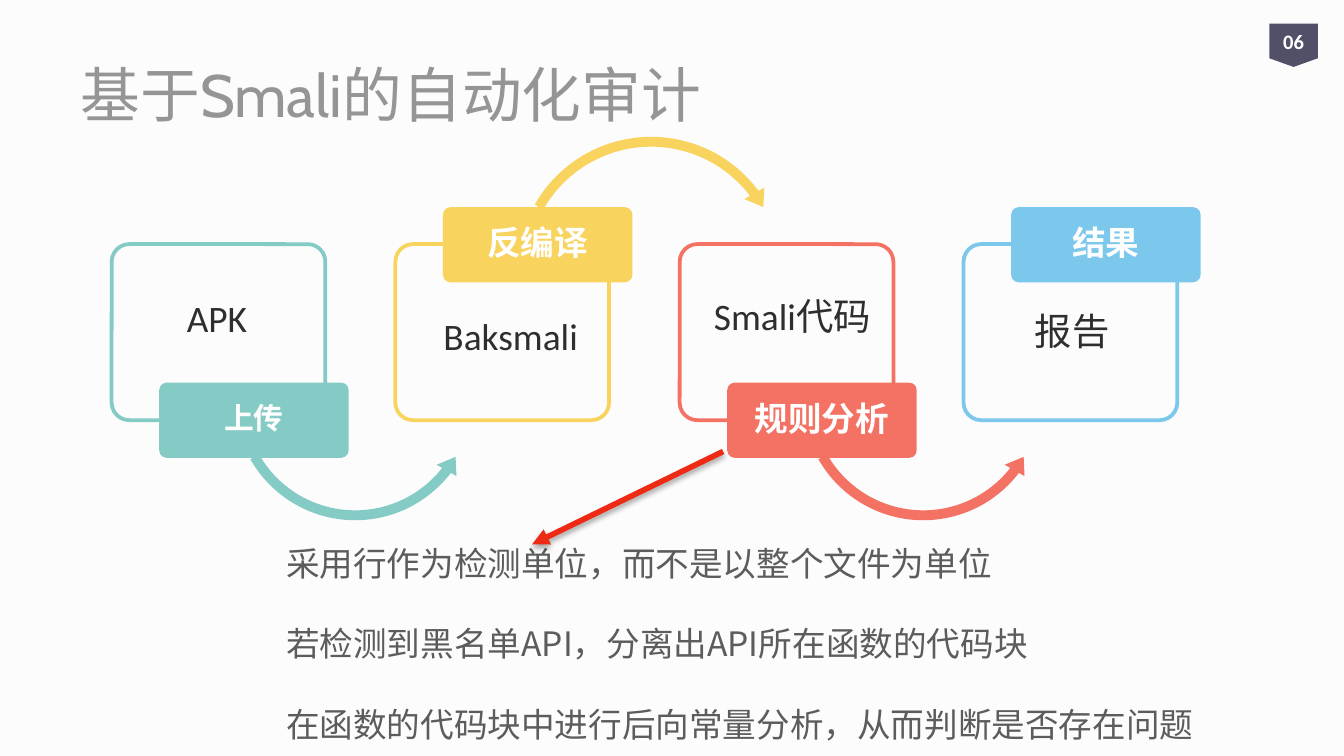
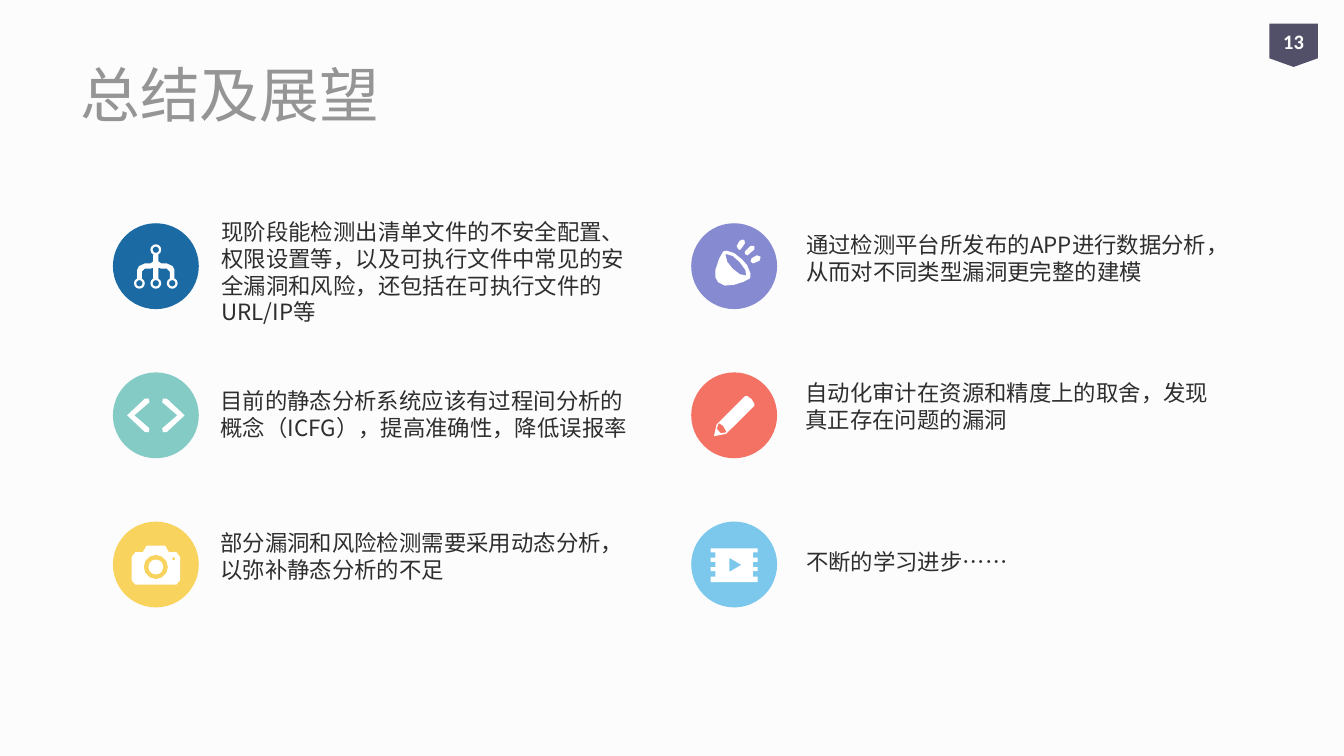
"""Two slides on Smali auditing: the pipeline, then the summary and outlook."""
from dataclasses import dataclass
from math import cos, pi, sin

from lxml import etree
from pptx import Presentation, util as u
from pptx.dml.color import RGBColor
from pptx.enum import shapes, text
from pptx.oxml import parse_xml
from pptx.oxml.ns import nsdecls, qn


@dataclass(frozen=True)
class Theme:
    paper: str = "FCFCFC"
    white: str = "FFFFFF"
    title: str = "959595"
    body: str = "2E2E2E"
    note: str = "5C5C5C"
    badge: str = "525068"
    teal: str = "84CBC5"
    yellow: str = "F8D35E"
    coral: str = "F47264"
    sky: str = "7CC8EC"
    navy: str = "1B6AA3"
    violet: str = "868AD1"
    red: str = "EE2914"
    heading_font: str = "Cabin"
    label_font: str = "Calibri"
    text_font: str = "Noto Sans CJK SC"
    title_size: float = 32
    step_size: float = 20
    chip_size: float = 18
    small_chip_size: float = 16
    note_size: float = 18
    point_size: float = 12
    badge_size: float = 11


theme = Theme()
kinds = shapes.MSO_SHAPE
ROUND = kinds.ROUNDED_RECTANGLE


def draw(slide, form, left, top, width=0, height=0, fill=None, line=None, adjust=()):
    """Add a flat preset shape, or one outline made of a list of contours."""
    if isinstance(form, list):
        contours = [[(u.Pt(left + x), u.Pt(top + y)) for x, y in contour] for contour in form]
        builder = slide.shapes.build_freeform(*contours[0][0])
        for number, (start, *rest) in enumerate(contours):
            if number:
                builder.move_to(*start)
            builder.add_line_segments(rest)
        shape = builder.convert_to_shape()
    else:
        shape = slide.shapes.add_shape(form, *map(u.Pt, (left, top, width, height)))
    shape.shadow.inherit = False
    for index, value in enumerate(adjust):
        shape.adjustments[index] = value
    if fill:
        shape.fill.solid()
        shape.fill.fore_color.rgb = RGBColor.from_string(fill)
    else:
        shape.fill.background()
    if line:
        shape.line.color.rgb = RGBColor.from_string(line)
        shape.line.width = u.Pt(2)
    else:
        shape.line.fill.background()
    return shape


def write(shape, words, size, font, color, bold=False, center=False, middle=False,
          inset=None, leading=None, gap=0):
    """Fill a shape with text, one paragraph per line."""
    frame = shape.text_frame
    frame.text = words
    frame.word_wrap = True
    frame.vertical_anchor = text.MSO_ANCHOR.MIDDLE if middle else text.MSO_ANCHOR.TOP
    if inset is not None:
        frame.margin_left = frame.margin_right = u.Pt(inset)
        frame.margin_top = frame.margin_bottom = u.Pt(inset)
    for number, paragraph in enumerate(frame.paragraphs):
        paragraph.alignment = text.PP_ALIGN.CENTER if center else text.PP_ALIGN.LEFT
        if leading:
            paragraph.line_spacing = leading
        if number:
            paragraph.space_before = u.Pt(gap)
        for run in paragraph.runs:
            run.font.size = u.Pt(size)
            run.font.name = font
            run.font.bold = bold
            run.font.color.rgb = RGBColor.from_string(color)


prs = Presentation()
prs.slide_width, prs.slide_height = u.Pt(720), u.Pt(405)
background = prs.slide_master.background.fill
background.solid()
background.fore_color.rgb = RGBColor.from_string(theme.paper)

headings = [
    ("基于Smali的自动化审计", "06", (36, 16.2, 636, 67.7)),
    ("总结及展望", "13", (36, 29, 648, 42)),
]
for heading, number, place in headings:
    slide = prs.slides.add_slide(prs.slide_layouts[6])
    title = slide.shapes.add_textbox(*map(u.Pt, place))
    write(title, heading, theme.title_size, theme.heading_font, theme.title, middle=True)
    badge = draw(slide, kinds.FLOWCHART_OFFPAGE_CONNECTOR, 680, 12.7, 26, 23.2, theme.badge)
    write(badge, number, theme.badge_size, theme.label_font, theme.white,
          bold=True, center=True, middle=True, inset=0)
pipeline, summary = prs.slides

arc_below = (kinds.LEFT_CIRCULAR_ARROW, 62.5, 146.2, 136,
             (0.039, 4.867, 22.622, 90.245, 0.045))
arc_above = (kinds.CIRCULAR_ARROW, 61.8, 69.8, 150.5,
             (0.035, 4.356, 193.889, 125.755, 0.041))
steps = [
    (59.8, "上传", theme.small_chip_size, theme.teal, 205, arc_below,
     "APK", (93, 154.8, 73.4, 47.5)),
    (211.8, "反编译", theme.chip_size, theme.yellow, 111, arc_above,
     "Baksmali", (230.5, 164.2, 105, 28)),
    (364.1, "规则分析", theme.chip_size, theme.coral, 205, arc_below,
     "Smali代码", (375.4, 153.4, 109.4, 28)),
    (516.2, "结果", theme.chip_size, theme.sky, 111, None,
     "报告", (547.4, 161.7, 67.7, 41.8)),
]
for left, action, size, color, chip_top, arc, item, (x, y, width, height) in steps:
    draw(pipeline, ROUND, left, 130.8, 114.5, 94.3, line=color, adjust=(0.1,))
    if arc:
        form, offset, arc_top, side, bend = arc
        draw(pipeline, form, left + offset, arc_top, side, side, color, adjust=bend)
    chip = draw(pipeline, ROUND, left + 25.5, chip_top, 101.5, 40.3, color, adjust=(0.1,))
    write(chip, action, size, theme.label_font, theme.white,
          bold=True, center=True, middle=True, inset=2.5, leading=0.9)
    label = draw(pipeline, [[(0, 0), (width, 0), (width, height), (0, height)]], x, y)
    write(label, item, theme.step_size, theme.label_font, theme.body)

rules = pipeline.shapes.add_textbox(*map(u.Pt, (146.2, 287.3, 505.4, 116.6)))
write(rules, "采用行作为检测单位，而不是以整个文件为单位\n"
      "若检测到黑名单API，分离出API所在函数的代码块\n"
      "在函数的代码块中进行后向常量分析，从而判断是否存在问题",
      theme.note_size, theme.text_font, theme.note, leading=u.Pt(21.5), gap=21.6)
rules.text_frame.word_wrap = False

pointer = pipeline.shapes.add_connector(
    shapes.MSO_CONNECTOR.STRAIGHT, *map(u.Pt, (387.4, 241.9, 285.1, 291.6)))
pointer.line.color.rgb = RGBColor.from_string(theme.red)
pointer.line.width = u.Pt(3)
etree.SubElement(pointer.line._get_or_add_ln(), qn("a:tailEnd"), type="triangle")
pointer._element.spPr.append(parse_xml(
    f'<a:effectLst {nsdecls("a")}><a:outerShdw blurRad="39370" dist="22860" dir="5400000">'
    '<a:srgbClr val="000000"><a:alpha val="35000"/></a:srgbClr></a:outerShdw></a:effectLst>'))

# Icon contours are measured from the centre of their disc; inner contours cut holes.
ring = [(cos(step * pi / 6), sin(step * pi / 6)) for step in range(12)]
right_halves = [
    [(1.4, -6), (1.4, -2.5), (3, -1.4), (6, -1.4), (9, 0), (10, 2), (10, 6.4), (7.5, 6.4),
     (7.5, 3), (6, 1.4), (3, 1.4), (1.4, 0.8), (1.4, 6.4)],
    [(5, -10), (7, -6.5), (11, -6.5), (13, -4), (13, 8.5), (11, 10.8)],
    [(12.6, -8.6), (12.6, -6.5), (10.1, -6.5), (10.1, -3.6), (12.6, -3.6), (12.6, -1.4),
     (10.1, -1.4), (10.1, 1.4), (12.6, 1.4), (12.6, 3.6), (10.1, 3.6), (10.1, 6.5),
     (12.6, 6.5), (12.6, 9.4)],
]
tree, body, strip = ([*half, *((-x, y) for x, y in reversed(half))] for half in right_halves)
nodes = [(0, -8.8), (-8.8, 9.2), (0, 9.2), (8.8, 9.2)]
hierarchy = [tree] + [[(x + r * a, y + r * b) for a, b in ring]
                      for x, y in nodes for r in (2.9, 1.7)]
chevron = [(-15.4, 0), (-5.8, -9), (-3.8, -9), (-3.4, -7), (-11.5, 0), (-3.4, 7),
           (-3.8, 9), (-5.8, 9)]
code = [[(side * x, y) for x, y in chevron] for side in (1, -1)]
camera = [body] + [[(x + r * a, y + r * b) for a, b in ring]
                   for x, y, r in [(0, 1.4, 6.5), (0, 1.4, 4), (9.6, -3, 0.8)]]
lamp = [
    [(-5.8, -7.9), (-8, -4), (-10, 2), (-10, 6), (-8.6, 8.6), (-5, 10.4), (0, 10), (5, 8.4),
     (8.6, 6.5), (8.8, 4), (7, -0.5), (4.3, -3.6), (0, -7), (-4, -8.3)],
    [(6.5, 5), (3, 4.3), (-0.7, 1.4), (-3.6, -2.2), (-4.6, -6), (-4.3, -6.5), (-0.7, -5.4),
     (2.9, -2.2), (6, 2)],
    [(2, -9.4), (2.9, -8.6), (3.7, -9.2), (5.8, -12.2), (5.5, -14), (4.3, -14.2),
     (2.9, -13.5), (1.4, -10.8)],
    [(7.2, -5.8), (8, -6.5), (10.8, -8.9), (10.8, -10.8), (8.8, -10.8), (5.8, -7.9),
     (5.8, -6.5)],
    [(14.2, -5), (12.2, -5.8), (9.4, -4.3), (8.8, -2.5), (10.2, -1.4), (13.7, -3)],
]
pencil = [
    [(-10.8, 11.2), (-9.4, 5), (5.8, -10.2), (7, -10.4), (9.4, -8.6), (10.8, -6.2),
     (10.8, -5), (-4.3, 10)],
    [(-8.6, 5), (-7.9, 4.3), (-5.8, 5.8), (-4.3, 8.6), (-4.3, 9.2), (-7.2, 9.6),
     (-9.2, 7.4)],
]
film = [strip, [(-2.6, -3.6), (3.9, 0.2), (-2.6, 4)]]

points = [
    (0, 0, theme.navy, hierarchy, (111.6, 113.2, 65.5),
     "现阶段能检测出清单文件的不安全配置、权限设置等，以及可执行文件中常见的安全漏洞和风险，还包括在可执行文件的URL/IP等"),
    (0, 1, theme.teal, code, (111, 203.8, 41.8),
     "目前的静态分析系统应该有过程间分析的概念（ICFG），提高准确性，降低误报率"),
    (0, 2, theme.yellow, camera, (111, 280.1, 56.2),
     "部分漏洞和风险检测需要采用动态分析，以弥补静态分析的不足"),
    (1, 0, theme.violet, lamp, (424.8, 120.2, 43.9),
     "通过检测平台所发布的APP进行数据分析，从而对不同类型漏洞更完整的建模"),
    (1, 1, theme.coral, pencil, (424.4, 199.4, 36.7),
     "自动化审计在资源和精度上的取舍，发现真正存在问题的漏洞"),
    (1, 2, theme.sky, film, (424.8, 290.2, 23.8),
     "不断的学习进步……"),
]
for column, row, color, icon, (left, top, height), sentence in points:
    center_x, center_y = 83.5 + 309.8 * column, 142.6 + 79.9 * row
    draw(summary, kinds.OVAL, center_x - 23, center_y - 23, 46, 46, color)
    draw(summary, icon, center_x, center_y, fill=theme.white)
    caption = summary.shapes.add_textbox(*map(u.Pt, (left, top, 232.6, height)))
    write(caption, sentence, theme.point_size, theme.text_font, theme.body,
          leading=u.Pt(14.4))

prs.save("out.pptx")
